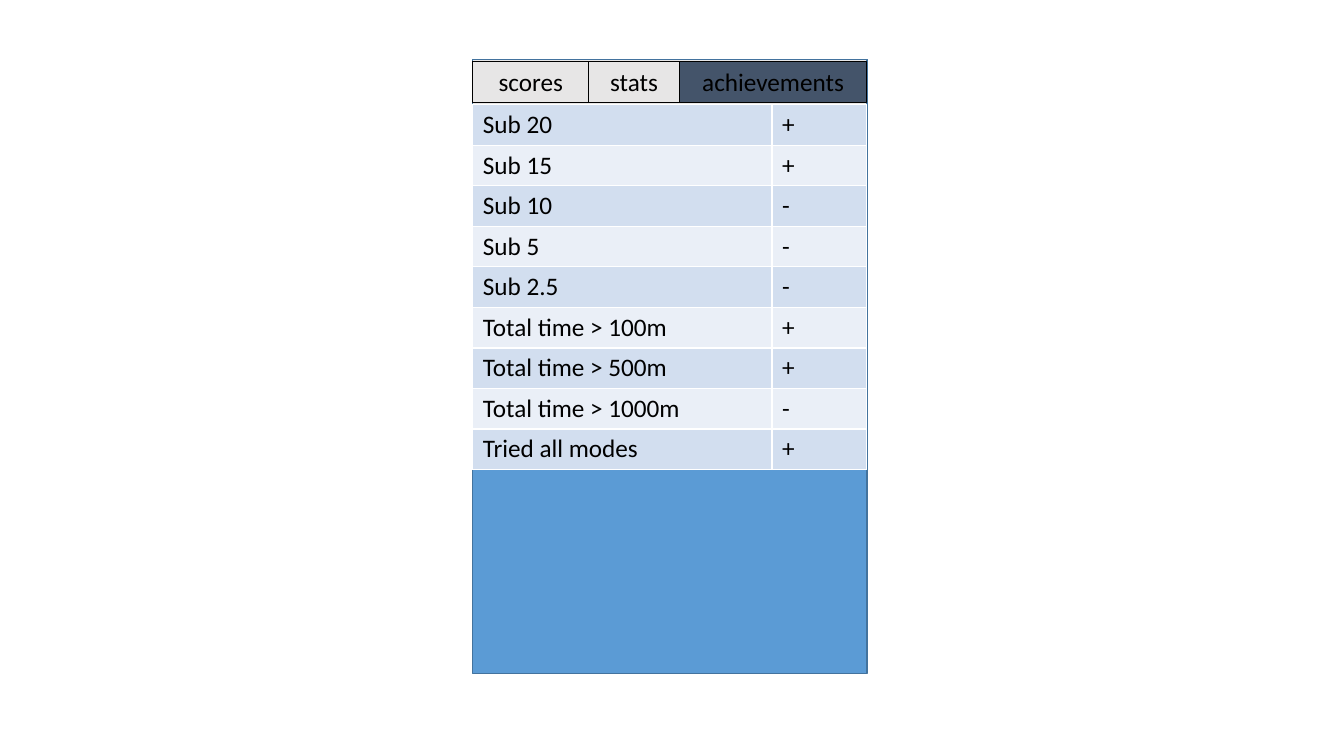
from dataclasses import dataclass

from lxml import etree
from pptx import Presentation
from pptx.dml.color import RGBColor
from pptx.enum.shapes import MSO_SHAPE
from pptx.enum.text import MSO_ANCHOR, PP_ALIGN
from pptx.oxml.ns import qn
from pptx.util import Pt


@dataclass(frozen=True)
class Theme:
    font: str = "Calibri"
    size: float = 18
    ink: str = "000000"
    panel: str = "5B9BD5"
    panel_line: str = "43739E"
    tab_bar: str = "E7E6E6"
    active_tab: str = "44546A"
    bands: tuple = ("D2DEEF", "EAEFF7")
    grid: str = "FFFFFF"


THEME = Theme()

TABS = [
    ("scores", 82.8, THEME.tab_bar),
    ("stats", 64.8, None),
    ("achievements", 133.9, THEME.active_tab),
]

ACHIEVEMENTS = [
    ("Sub 20", "+"),
    ("Sub 15", "+"),
    ("Sub 10", "-"),
    ("Sub 5", "-"),
    ("Sub 2.5", "-"),
    ("Total time > 100m", "+"),
    ("Total time > 500m", "+"),
    ("Total time > 1000m", "-"),
    ("Tried all modes", "+"),
]


def color(code):
    return RGBColor.from_string(code)


def write(frame, text, align):
    paragraph = frame.paragraphs[0]
    paragraph.alignment = align
    run = paragraph.add_run()
    run.text = text
    run.font.name = THEME.font
    run.font.size = Pt(THEME.size)
    run.font.color.rgb = color(THEME.ink)


def add_box(slide, left, top, width, height, fill, line, weight):
    box = slide.shapes.add_shape(
        MSO_SHAPE.RECTANGLE, Pt(left), Pt(top), Pt(width), Pt(height)
    )
    box.shadow.inherit = False
    if fill:
        box.fill.solid()
        box.fill.fore_color.rgb = color(fill)
    else:
        box.fill.background()
    box.line.color.rgb = color(line)
    box.line.width = Pt(weight)
    return box


def border_cell(cell):
    properties = cell._tc.get_or_add_tcPr()
    for side in ("lnL", "lnR", "lnT", "lnB"):
        edge = etree.SubElement(properties, qn(f"a:{side}"), w=str(Pt(1)))
        fill = etree.SubElement(edge, qn("a:solidFill"))
        etree.SubElement(fill, qn("a:srgbClr"), val=THEME.grid)


def add_tabs(slide, left, top, width, height):
    add_box(slide, left, top, width, height, THEME.tab_bar, THEME.panel_line, 1)
    for name, tab_width, fill in TABS:
        tab = add_box(
            slide, left, top + 1.5, tab_width, height - 3.2, fill, THEME.ink, 0.75
        )
        tab.text_frame.vertical_anchor = MSO_ANCHOR.MIDDLE
        tab.text_frame.word_wrap = False
        write(tab.text_frame, name, PP_ALIGN.CENTER)
        left += tab_width


def add_achievements(slide, left, top, width, height):
    count = len(ACHIEVEMENTS)
    table = slide.shapes.add_table(
        count, 2, Pt(left), Pt(top), Pt(width), Pt(height)
    ).table
    table.first_row = False
    table.horz_banding = False
    mark_width = 67.7
    table.columns[0].width = Pt(width - mark_width)
    table.columns[1].width = Pt(mark_width)
    for index, entry in enumerate(ACHIEVEMENTS):
        table.rows[index].height = Pt(height / count)
        for column, text in enumerate(entry):
            cell = table.cell(index, column)
            cell.margin_top = cell.margin_bottom = Pt(3.5)
            border_cell(cell)
            cell.fill.solid()
            cell.fill.fore_color.rgb = color(THEME.bands[index % 2])
            write(cell.text_frame, text, PP_ALIGN.LEFT)


def add_panel(slide, left, top, width, height):
    add_box(slide, left, top, width, height, THEME.panel, THEME.panel_line, 1)
    bar_height = 32.2
    add_tabs(slide, left, top, width, bar_height)
    add_achievements(slide, left, top + bar_height, width, 260.8)


def main():
    deck = Presentation()
    deck.slide_width, deck.slide_height = Pt(960), Pt(540)
    slide = deck.slides.add_slide(deck.slide_layouts[6])
    add_panel(slide, 337.7, 42.5, 281.5, 438.5)
    deck.save("out.pptx")


main()
